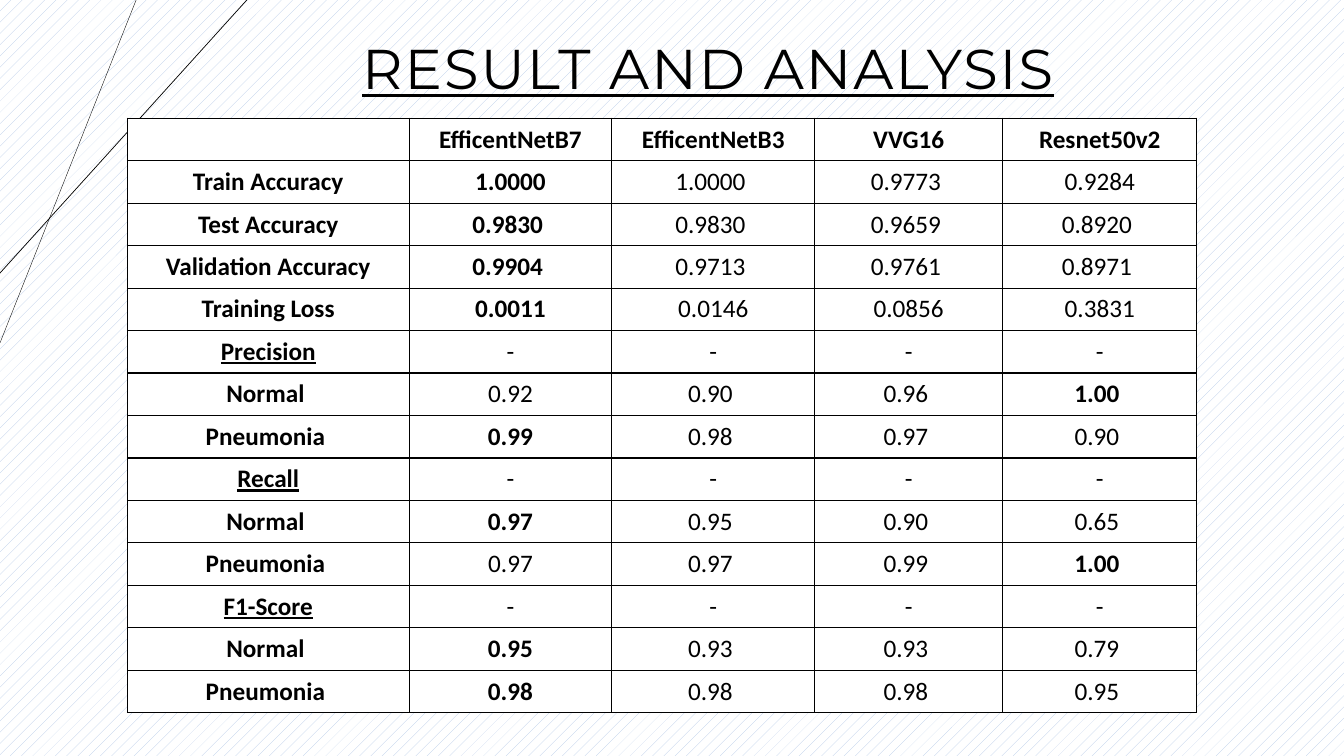
from dataclasses import dataclass

from lxml.etree import SubElement
from pptx import Presentation
from pptx.dml.color import RGBColor
from pptx.enum.dml import MSO_PATTERN
from pptx.enum.shapes import MSO_CONNECTOR
from pptx.enum.text import MSO_ANCHOR, PP_ALIGN
from pptx.oxml.ns import qn
from pptx.util import Cm, Pt


@dataclass(frozen=True)
class Theme:
    ink: str = "000000"
    paper: str = "FFFFFF"
    dots: str = "B4C7E7"
    title_font: str = "Montserrat"
    table_font: str = "Calibri"
    title_size: int = 40
    table_size: int = 18
    border: int = 1


theme = Theme()


def write(tf, text, *, font, size, bold=False, underline=False, color=theme.ink):
    p = tf.paragraphs[0]
    p.alignment = PP_ALIGN.CENTER
    r = p.add_run()
    r.text = text
    r.font.name = font
    r.font.size = Pt(size)
    r.font.bold = bold
    r.font.underline = underline
    r.font.color.rgb = RGBColor.from_string(color)
    return p, r


prs = Presentation()
prs.slide_width, prs.slide_height = Cm(33.87), Cm(19.05)
s = prs.slides.add_slide(prs.slide_layouts[5])

fill = s.background.fill
fill.patterned()
fill.pattern = MSO_PATTERN.PERCENT_10
fill.fore_color.rgb = RGBColor.from_string(theme.dots)
fill.back_color.rgb = RGBColor.from_string(theme.paper)

for top_x, left_y, weight in [(3.43, 8.64, 0.25), (6.22, 6.88, 0.5)]:
    line = s.shapes.add_connector(
        MSO_CONNECTOR.STRAIGHT, Cm(top_x), Cm(0), Cm(0), Cm(left_y)
    )
    line.line.color.rgb = RGBColor.from_string(theme.ink)
    line.line.width = Pt(weight)
    SubElement(line._element.spPr, qn("a:effectLst"))

title = s.shapes.title
title.left, title.top, title.width, title.height = Cm(1.07), Cm(0.41), Cm(31.06), Cm(2.79)
tf = title.text_frame
tf.word_wrap = True
tf.vertical_anchor = MSO_ANCHOR.MIDDLE
p, r = write(
    tf, "RESULT AND ANALYSIS", font=theme.title_font, size=theme.title_size, underline=True
)
p.line_spacing = 0.9
p._p.get_or_add_pPr().set("marL", str(Cm(2.49)))
r.font._element.set("spc", "150")

header = ("", "EfficentNetB7", "EfficentNetB3", "VVG16", "Resnet50v2")
dashes = ("-",) * 4
results = [
    (header, None),
    (("Train Accuracy", "1.0000", "1.0000 ", "0.9773 ", "0.9284"), 1),
    (("Test Accuracy", "0.9830 ", "0.9830 ", "0.9659 ", "0.8920 "), 1),
    (("Validation Accuracy", "0.9904 ", "0.9713 ", "0.9761 ", "0.8971 "), 1),
    (("Training Loss", "0.0011", "0.0146", "0.0856", "0.3831"), 1),
    (("Precision", *dashes), None),
    (("Normal ", "0.92", "0.90 ", "0.96 ", "1.00 "), 4),
    (("Pneumonia ", "0.99", "0.98 ", "0.97 ", "0.90 "), 1),
    (("Recall", *dashes), None),
    (("Normal ", "0.97", "0.95 ", "0.90 ", "0.65 "), 1),
    (("Pneumonia ", "0.97", "0.97 ", "0.99 ", "1.00 "), 4),
    (("F1-Score", *dashes), None),
    (("Normal ", "0.95", "0.93 ", "0.93 ", "0.79 "), 1),
    (("Pneumonia ", "0.98", "0.98 ", "0.98 ", "0.95 "), 1),
]
col_widths = [7.1, 5.11, 5.11, 4.74, 4.89]
row_height = 1.07

table = s.shapes.add_table(
    len(results), len(header), Cm(3.21), Cm(2.98),
    Cm(sum(col_widths)), Cm(row_height * len(results)),
).table
table.horz_banding = False
for col, width in zip(table.columns, col_widths):
    col.width = Cm(width)

for i, (values, best) in enumerate(results):
    table.rows[i].height = Cm(row_height)
    for j, value in enumerate(values):
        cell = table.cell(i, j)
        cell.vertical_anchor = MSO_ANCHOR.MIDDLE
        tcPr = cell._tc.get_or_add_tcPr()
        for side in ("a:lnL", "a:lnR", "a:lnT", "a:lnB"):
            ln = SubElement(tcPr, qn(side), w=str(Pt(theme.border)))
            SubElement(SubElement(ln, qn("a:solidFill")), qn("a:srgbClr"), val=theme.ink)
        cell.fill.solid()
        cell.fill.fore_color.rgb = RGBColor.from_string(theme.paper)
        if value:
            write(
                cell.text_frame, value, font=theme.table_font, size=theme.table_size,
                bold=i == 0 or j in (0, best),
                underline=j == 0 and values[1:] == dashes,
            )

prs.save("out.pptx")
